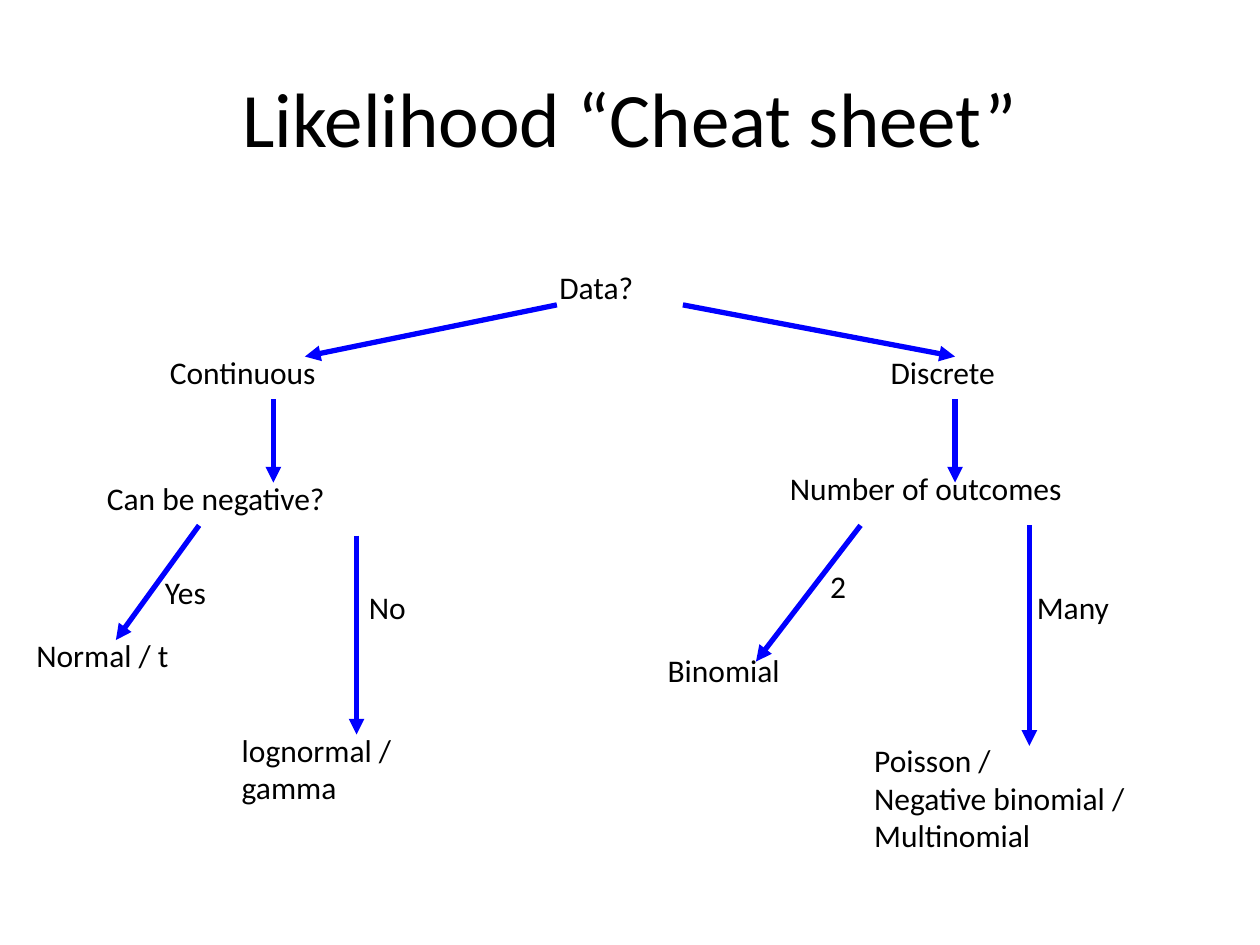
import pptx
import pptx.util
import pptx.dml.color
import pptx.enum.shapes
import pptx.enum.text
import pptx.oxml.ns
import lxml.etree

Inches = pptx.util.Inches
COLORS = {"text": "000000", "arrow": "0000FF", "background": "FFFFFF"}


def color(name):
    return pptx.dml.color.RGBColor.from_string(COLORS[name])


class DecisionTree:
    """Holds the style and the slide that the tree is drawn on."""

    font_name = "Calibri"
    title_size = 44
    label_size = 18
    arrow_width = 3

    def __init__(self, slide):
        self.slide = slide
        slide.background.fill.solid()
        slide.background.fill.fore_color.rgb = color("background")

    def add_text(self, left, top, width, height, lines, size):
        box = self.slide.shapes.add_textbox(
            Inches(left), Inches(top), Inches(width), Inches(height))
        frame = box.text_frame
        frame.text = "\n".join(lines)
        for paragraph in frame.paragraphs:
            paragraph.font.name = self.font_name
            paragraph.font.size = pptx.util.Pt(size)
            paragraph.font.color.rgb = color("text")
        return frame

    def title(self, left, top, width, height, text):
        frame = self.add_text(left, top, width, height, [text], self.title_size)
        frame.word_wrap = True
        frame.vertical_anchor = pptx.enum.text.MSO_ANCHOR.MIDDLE
        frame.paragraphs[0].alignment = pptx.enum.text.PP_ALIGN.CENTER

    def label(self, left, top, width, height, *lines):
        frame = self.add_text(left, top, width, height, lines, self.label_size)
        frame.word_wrap = False
        frame.auto_size = pptx.enum.text.MSO_AUTO_SIZE.SHAPE_TO_FIT_TEXT

    def arrow(self, start_x, start_y, end_x, end_y):
        connector = self.slide.shapes.add_connector(
            pptx.enum.shapes.MSO_CONNECTOR.STRAIGHT,
            Inches(start_x), Inches(start_y), Inches(end_x), Inches(end_y))
        connector.line.color.rgb = color("arrow")
        connector.line.width = pptx.util.Pt(self.arrow_width)
        qualified = pptx.oxml.ns.qn
        line = connector.get_or_add_ln()
        lxml.etree.SubElement(line, qualified("a:tailEnd"), type="triangle")
        lxml.etree.SubElement(connector.element.spPr, qualified("a:effectLst"))


def main():
    presentation = pptx.Presentation()
    presentation.slide_width = Inches(10)
    presentation.slide_height = Inches(7.5)
    tree = DecisionTree(presentation.slides.add_slide(presentation.slide_layouts[6]))

    tree.title(0.5, 0.3, 9, 1.25, "Likelihood “Cheat sheet”")

    # Questions and distributions: left, top, width, height, lines
    nodes = [
        (4.34, 2.08, 1.05, 0.5, "Data?"),
        (1.25, 2.75, 1.84, 0.5, "Continuous"),
        (6.97, 2.75, 1.39, 0.5, "Discrete"),
        (0.75, 3.75, 2.74, 0.5, "Can be negative?"),
        (0.19, 5, 1.7, 0.5, "Normal / t"),
        (1.82, 5.75, 1.99, 0.9, "lognormal /", "gamma"),
        (6.17, 3.67, 3.28, 0.5, "Number of outcomes"),
        (5.2, 5.12, 1.45, 0.5, "Binomial"),
        (6.84, 5.83, 3.06, 1.3, "Poisson /", "Negative binomial /", "Multinomial"),
    ]
    for node in nodes:
        tree.label(*node)

    # Branches: start x, start y, end x, end y
    branches = [
        # Continuous side
        (4.42, 2.42, 2.42, 2.83),
        (2.17, 3.17, 2.17, 3.83),
        (1.58, 4.17, 0.92, 5.08),
        (2.83, 4.25, 2.83, 5.83),
        # Discrete side
        (5.42, 2.42, 7.58, 2.83),
        (7.58, 3.17, 7.58, 3.83),
        (6.83, 4.17, 6, 5.25),
        (8.17, 4.17, 8.17, 5.92),
    ]
    for branch in branches:
        tree.arrow(*branch)

    # Answers beside the branches: left, top, width, text
    answers = [
        (6.49, 4.45, 0.34, "2"),
        (8.13, 4.62, 0.79, "Many"),
        (2.83, 4.62, 0.5, "No"),
        (1.21, 4.5, 0.59, "Yes"),
    ]
    for left, top, width, text in answers:
        tree.label(left, top, width, 0.4, text)

    presentation.save("out.pptx")


if __name__ == "__main__":
    main()
